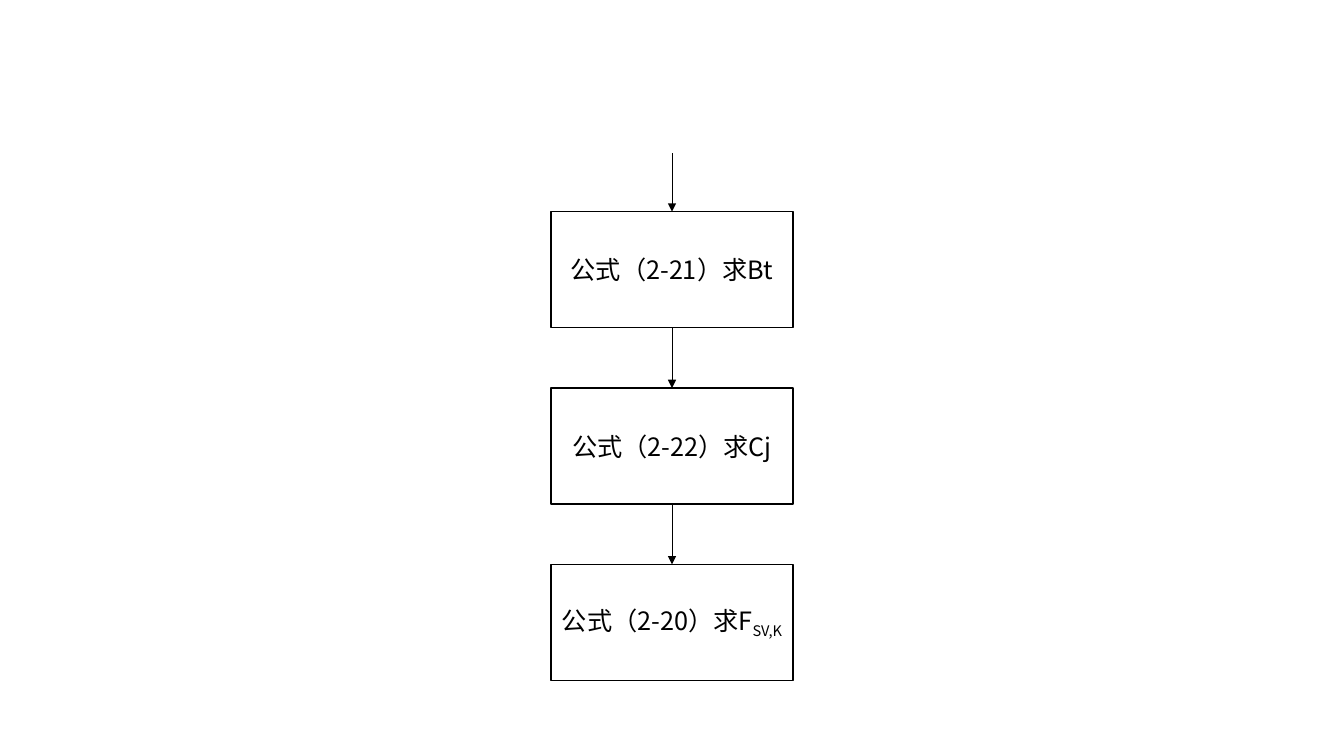
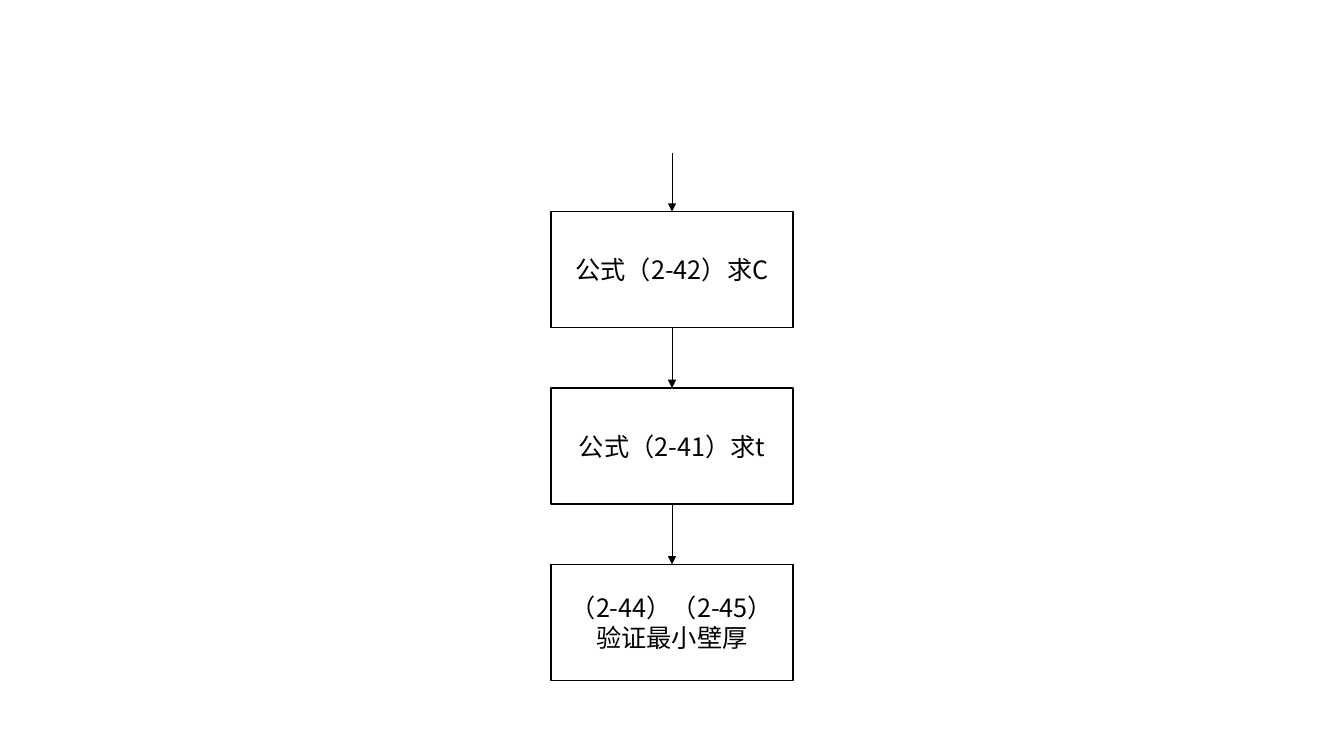
from pptx import Presentation
from pptx.dml.color import RGBColor
from pptx.enum.shapes import MSO_CONNECTOR as CONNECTOR, MSO_SHAPE as SHAPE
from pptx.enum.text import MSO_ANCHOR as ANCHOR, PP_ALIGN as ALIGN
from pptx.oxml.ns import qn
from pptx.util import Inches, Pt
from lxml.etree import SubElement

SLIDE_WIDTH, SLIDE_HEIGHT = 13.33, 7.5
BOX_WIDTH, BOX_HEIGHT = 2.4, 1.15
FIRST_TOP, PITCH = 2.1, 1.75
ENTRY_LENGTH = 0.58
TOP_SIDE, BOTTOM_SIDE = 0, 2

FLOWS = [
    [("公式（2-21）求Bt", ""), ("公式（2-22）求Cj", ""), ("公式（2-20）求F", "SV,K")],
    [("公式（2-42）求C", ""), ("公式（2-41）求t", ""), ("（2-44）（2-45）验证最小壁厚", "")],
]


def color(value):
    return RGBColor.from_string(value)


class FlowDeck:
    font = "Noto Sans CJK SC"
    size = 18
    ink = "000000"
    paper = "FFFFFF"

    def __init__(self):
        self.presentation = Presentation()
        self.presentation.slide_width = Inches(SLIDE_WIDTH)
        self.presentation.slide_height = Inches(SLIDE_HEIGHT)
        self.slide = None

    def add_slide(self):
        self.slide = self.presentation.slides.add_slide(self.presentation.slide_layouts[6])

    def format_run(self, run):
        run.font.name = self.font
        run.font.size = Pt(self.size)
        run.font.color.rgb = color(self.ink)
        properties = run._r.get_or_add_rPr()
        SubElement(properties, qn("a:ea")).set("typeface", self.font)
        return properties

    def add_step(self, top, text, subscript):
        shape = self.slide.shapes.add_shape(
            SHAPE.FLOWCHART_PROCESS, Inches((SLIDE_WIDTH - BOX_WIDTH) / 2), Inches(top),
            Inches(BOX_WIDTH), Inches(BOX_HEIGHT))
        shape.shadow.inherit = False
        shape.fill.solid()
        shape.fill.fore_color.rgb = color(self.paper)
        shape.line.color.rgb = color(self.ink)
        shape.line.width = Pt(1)
        shape.text_frame.word_wrap = True
        shape.text_frame.vertical_anchor = ANCHOR.MIDDLE
        paragraph = shape.text_frame.paragraphs[0]
        paragraph.text = text
        paragraph.alignment = ALIGN.CENTER
        self.format_run(paragraph.runs[0])
        if subscript:
            run = paragraph.add_run()
            run.text = subscript
            self.format_run(run).set("baseline", "-25000")
        return shape

    def add_arrow(self, start, end, target, source=None):
        center = Inches(SLIDE_WIDTH / 2)
        connector = self.slide.shapes.add_connector(
            CONNECTOR.STRAIGHT, center, Inches(start), center, Inches(end))
        if source is not None:
            connector.begin_connect(source, BOTTOM_SIDE)
        connector.end_connect(target, TOP_SIDE)
        connector.line.color.rgb = color(self.ink)
        connector.line.width = Pt(0.5)
        SubElement(connector.line._get_or_add_ln(), qn("a:tailEnd")).set("type", "triangle")
        SubElement(connector._element.spPr, qn("a:effectLst"))

    def add_flow(self, steps):
        self.add_slide()
        previous = None
        for index, (text, subscript) in enumerate(steps):
            top = FIRST_TOP + index * PITCH
            step = self.add_step(top, text, subscript)
            gap = ENTRY_LENGTH if previous is None else PITCH - BOX_HEIGHT
            self.add_arrow(top - gap, top, step, previous)
            previous = step


def main():
    deck = FlowDeck()
    for steps in FLOWS:
        deck.add_flow(steps)
    deck.presentation.save("out.pptx")


if __name__ == "__main__":
    main()
